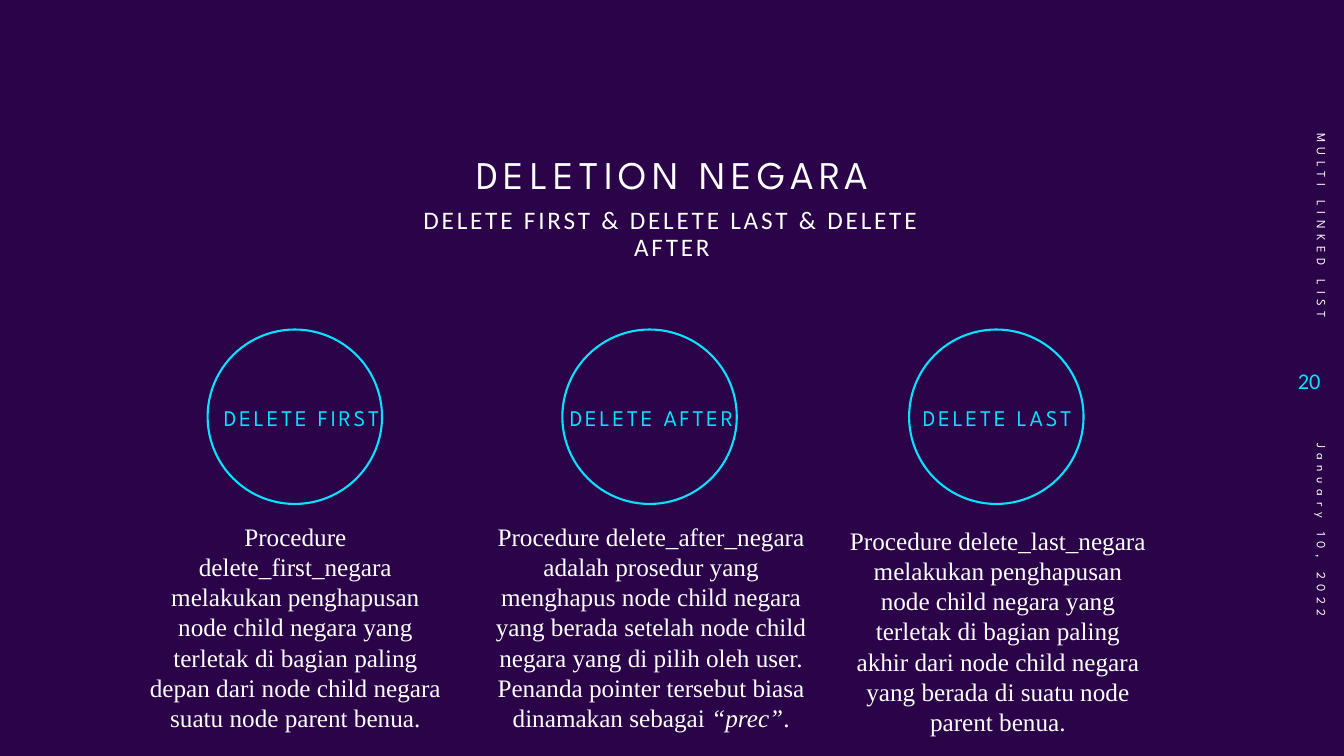
from pptx import Presentation
from pptx.dml.color import RGBColor
from pptx.enum.shapes import MSO_SHAPE
from pptx.enum.text import MSO_ANCHOR, MSO_AUTO_SIZE, PP_ALIGN
from pptx.util import Pt

LEFT, CENTER, RIGHT = PP_ALIGN.LEFT, PP_ALIGN.CENTER, PP_ALIGN.RIGHT
TOP, MIDDLE, BOTTOM = MSO_ANCHOR.TOP, MSO_ANCHOR.MIDDLE, MSO_ANCHOR.BOTTOM
PURPLE, CYAN, WHITE = "2B0348", "0BE1FF", "FFFFFF"
DISPLAY, SANS, SERIF = "League Spartan", "Calibri", "Times New Roman"

# Content
TITLE = "DELETION NEGARA"
SUBTITLE = "DELETE FIRST & DELETE LAST & DELETE AFTER"
PAGE_NUMBER = "20"

# label, circle centre, label centre, description (left, top, width), description runs
COLUMNS = [
    ("DELETE FIRST", 210.6, 215.6, (96.5, 368.6, 229),
     [("Procedure delete_first_negara melakukan penghapusan node child negara yang "
       "terletak di bagian paling depan dari node child negara suatu node parent benua.",
       False)]),
    ("DELETE AFTER", 464, 465.5, (340.6, 368.6, 249),
     [("Procedure delete_after_negara adalah prosedur yang menghapus node child negara "
       "yang berada setelah node child negara yang di pilih oleh user. Penanda pointer "
       "tersebut biasa dinamakan sebagai ", False),
      ("“prec”", True), (".", False)]),
    ("DELETE LAST", 711.7, 712.4, (598.3, 371.5, 229),
     [("Procedure delete_last_negara melakukan penghapusan node child negara yang "
       "terletak di bagian paling akhir dari node child negara yang berada di suatu "
       "node parent benua.", False)]),
]

# text, vertical centre, length, alignment
SIDE_TEXTS = [
    ("MULTI LINKED LIST", 125.3, 218, RIGHT),
    ("January 10, 2022", 414, 209, LEFT),
]

# Layout
CIRCLE_TOP, CIRCLE_SIZE = 235.4, 124.6
LABEL_WIDTH, LABEL_HEIGHT = 134.6, 82.8
DESCRIPTION_HEIGHT = 160
SIDE_CENTER, SIDE_THICKNESS = 944.2, 28.8

# Text formats
TITLE_FORMAT = {"name": DISPLAY, "size": Pt(28)}
SUBTITLE_FORMAT = {"name": SANS, "size": Pt(18)}
LABEL_FORMAT = {"name": DISPLAY, "size": Pt(16)}
DESCRIPTION_FORMAT = {"name": SERIF, "size": Pt(18)}
SIDE_FORMAT = {"name": DISPLAY, "size": Pt(9)}
NUMBER_FORMAT = {"name": SANS, "size": Pt(16)}


def color(value):
    return RGBColor.from_string(value)


def write(shape, runs, font_format, text_color=WHITE, alignment=CENTER,
          anchor=TOP, spacing=0, line_spacing=1.0):
    frame = shape.text_frame
    frame.word_wrap = True
    frame.auto_size = MSO_AUTO_SIZE.NONE
    frame.vertical_anchor = anchor
    paragraph = frame.paragraphs[0]
    paragraph.alignment = alignment
    paragraph.line_spacing = line_spacing
    for text, italic in runs:
        run = paragraph.add_run()
        run.text = text
        for name, value in {**font_format, "italic": italic}.items():
            setattr(run.font, name, value)
        run.font.color.rgb = color(text_color)
        if spacing:
            run._r.get_or_add_rPr().set("spc", str(spacing * 100))


def add_text(slide, left, top, width, height, runs, font_format, **options):
    box = slide.shapes.add_textbox(Pt(left), Pt(top), Pt(width), Pt(height))
    write(box, runs, font_format, **options)
    return box


def add_column(slide, label, circle_center, label_center, description, runs):
    circle = slide.shapes.add_shape(
        MSO_SHAPE.OVAL, Pt(circle_center - CIRCLE_SIZE / 2), Pt(CIRCLE_TOP),
        Pt(CIRCLE_SIZE), Pt(CIRCLE_SIZE))
    circle.shadow.inherit = False
    circle.fill.background()
    circle.line.color.rgb = color(CYAN)
    circle.line.width = Pt(1.5)

    label_top = CIRCLE_TOP + (CIRCLE_SIZE - LABEL_HEIGHT) / 2 + 0.7
    label_box = add_text(
        slide, label_center - LABEL_WIDTH / 2, label_top, LABEL_WIDTH, LABEL_HEIGHT,
        [(label, False)], LABEL_FORMAT, text_color=CYAN, anchor=MIDDLE, spacing=2)
    label_box.text_frame.margin_left = label_box.text_frame.margin_right = Pt(0)

    add_text(slide, *description, DESCRIPTION_HEIGHT, runs, DESCRIPTION_FORMAT)


def main():
    presentation = Presentation()
    presentation.slide_width, presentation.slide_height = Pt(960), Pt(540)
    slide = presentation.slides.add_slide(presentation.slide_layouts[5])
    slide.background.fill.solid()
    slide.background.fill.fore_color.rgb = color(PURPLE)

    # Title and subtitle
    title = slide.shapes.title
    title.left, title.top, title.width, title.height = Pt(259.2), Pt(91.4), Pt(442), Pt(53.3)
    write(title, [(TITLE, False)], TITLE_FORMAT, anchor=BOTTOM, spacing=4, line_spacing=0.9)
    add_text(slide, 277.2, 144.7, 405.4, 56.9, [(SUBTITLE, False)], SUBTITLE_FORMAT,
             spacing=2, line_spacing=0.9)

    # Circles with labels and descriptions
    for column in COLUMNS:
        add_column(slide, *column)

    # Rotated texts and page number on the right edge
    for text, center, length, alignment in SIDE_TEXTS:
        box = add_text(slide, SIDE_CENTER - length / 2, center - SIDE_THICKNESS / 2,
                       length, SIDE_THICKNESS, [(text, False)], SIDE_FORMAT,
                       alignment=alignment, anchor=MIDDLE, spacing=4)
        box.rotation = 90
    add_text(slide, 907.2, 249.1, 43.2, 45.4, [(PAGE_NUMBER, False)], NUMBER_FORMAT,
             text_color=CYAN, alignment=RIGHT, anchor=MIDDLE)

    presentation.save("out.pptx")


if __name__ == "__main__":
    main()
